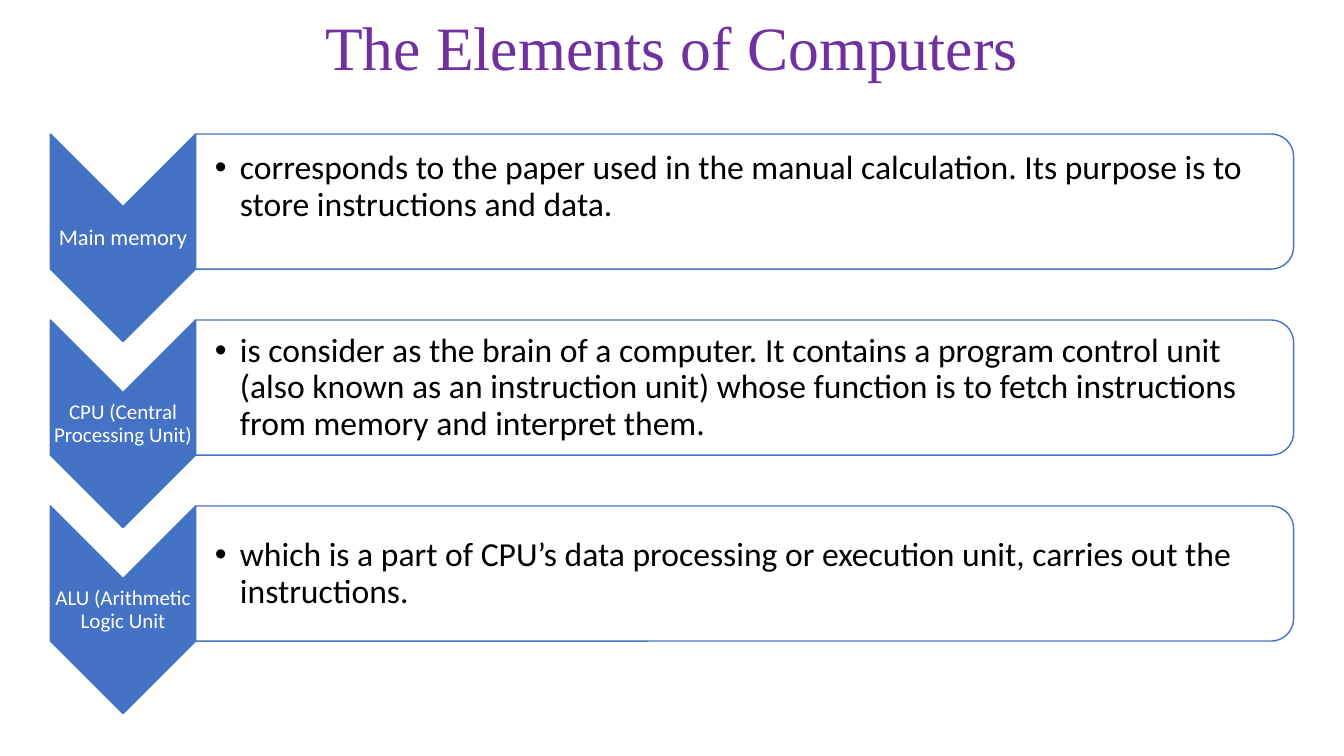
from dataclasses import dataclass

from lxml.etree import SubElement
from pptx import Presentation
from pptx.dml.color import RGBColor as RGB
from pptx.enum.shapes import MSO_SHAPE as Shape
from pptx.enum.text import MSO_ANCHOR as Anchor, MSO_AUTO_SIZE as Fit, PP_ALIGN as Align
from pptx.oxml.ns import qn
from pptx.util import Inches, Pt


@dataclass(frozen=True)
class Theme:
    """Colours, fonts and type sizes."""
    blue: RGB = RGB.from_string("4472C4")
    white: RGB = RGB.from_string("FFFFFF")
    black: RGB = RGB.from_string("000000")
    purple: RGB = RGB.from_string("7030A0")
    head: str = "Times New Roman"
    body: str = "Calibri"
    title: int = 44
    text: int = 24


THEME = Theme()
TITLE = "The Elements of Computers"
# label, label size, description, extra space below the description
PARTS = [
    ("Main memory", 16,
     "corresponds to the paper used in the manual calculation. "
     "Its purpose is to store instructions and data.", 0.3),
    ("CPU (Central Processing Unit)", 15,
     "is consider as the brain of a computer. It contains a program control "
     "unit (also known as an instruction unit) whose function is to fetch "
     "instructions from memory and interpret them.", 0),
    ("ALU (Arithmetic Logic Unit", 15,
     "which is a part of CPU\u2019s data processing or execution unit, "
     "carries out the instructions.", 0),
]

TOP, PITCH = 1.33, 1.845
LEFT, WIDE, TALL = 0.5, 1.44, 2.06    # chevron as seen on the slide
SPAN, DEEP = 10.89, 1.34              # panel as seen on the slide
EDGE = LEFT + WIDE


def write(frame, text, size, color, font, align):
    """Fill a text frame with one styled paragraph."""
    frame.text = text
    frame.word_wrap = True
    frame.auto_size = Fit.NONE
    frame.vertical_anchor = Anchor.MIDDLE
    para = frame.paragraphs[0]
    para.alignment, para.line_spacing = align, 0.9
    face = para.runs[0].font
    face.size, face.name, face.color.rgb = Pt(size), font, color
    return para


def turned(slide, kind, left, top, wide, tall, fill):
    """Add a shape turned by 90 degrees that covers the given area."""
    x, y = left + (wide - tall) / 2, top + (tall - wide) / 2
    shape = slide.shapes.add_shape(
        kind, Inches(x), Inches(y), Inches(tall), Inches(wide))
    shape.rotation = 90
    shape.shadow.inherit = False
    shape.fill.solid()
    shape.fill.fore_color.rgb = fill
    shape.line.color.rgb = THEME.blue
    shape.line.width = Pt(1)


def box(slide, area, pads):
    """Add a text box with the given insets and return its frame."""
    frame = slide.shapes.add_textbox(*map(Inches, area)).text_frame
    (frame.margin_left, frame.margin_top,
     frame.margin_right, frame.margin_bottom) = map(Inches, pads)
    return frame


def bullet(para):
    """Give a paragraph a hanging round bullet."""
    props = para._p.get_or_add_pPr()
    props.set("marL", str(Inches(0.25)))
    props.set("indent", str(-Inches(0.25)))
    SubElement(props, qn("a:buFont"), typeface="Arial")
    SubElement(props, qn("a:buChar"), char="\u2022")


def row(slide, top, label, size, text, below):
    """Add a chevron with its label and a panel with its description."""
    turned(slide, Shape.CHEVRON, LEFT, top, WIDE, TALL, THEME.blue)
    frame = box(slide, (LEFT, top + WIDE / 2, WIDE, TALL - WIDE), [0.01] * 4)
    write(frame, label, size, THEME.white, THEME.body, Align.CENTER)

    turned(slide, Shape.ROUND_2_SAME_RECTANGLE, EDGE, top, SPAN, DEEP, THEME.white)
    frame = box(slide, (EDGE, top + 0.07, SPAN - 0.06, DEEP - 0.13),
                (0.19, 0.02, 0.02, 0.02 + below))
    bullet(write(frame, text, THEME.text, THEME.black, THEME.body, Align.LEFT))


deck = Presentation()
deck.slide_width, deck.slide_height = Inches(13.33), Inches(7.5)
slide = deck.slides.add_slide(deck.slide_layouts[5])

title = slide.shapes.title
title.left, title.top, title.width, title.height = map(Inches, (2, 0, 9.33, 1))
write(title.text_frame, TITLE, THEME.title, THEME.purple, THEME.head, Align.CENTER)

for i, part in enumerate(PARTS):
    row(slide, TOP + i * PITCH, *part)

deck.save("out.pptx")
